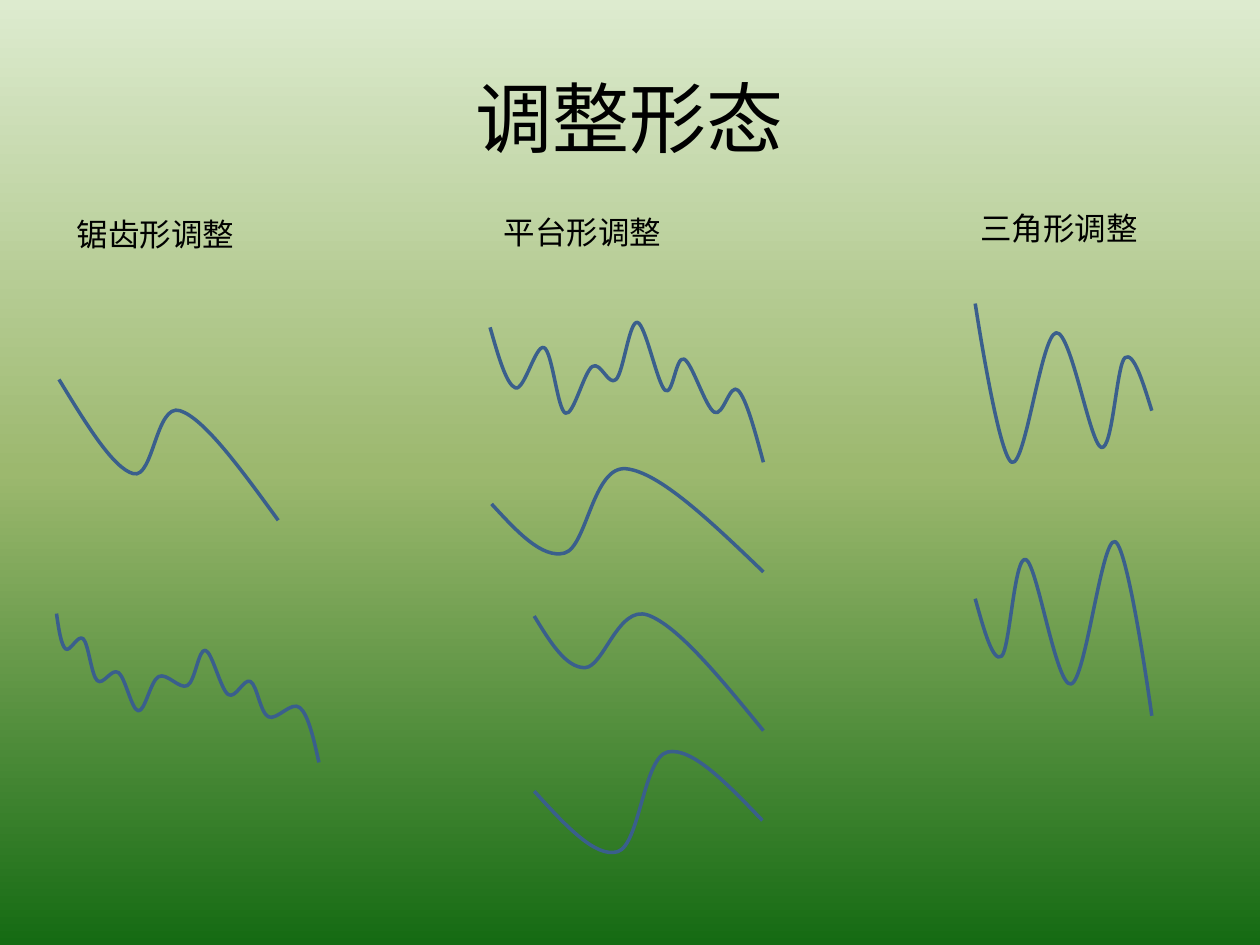
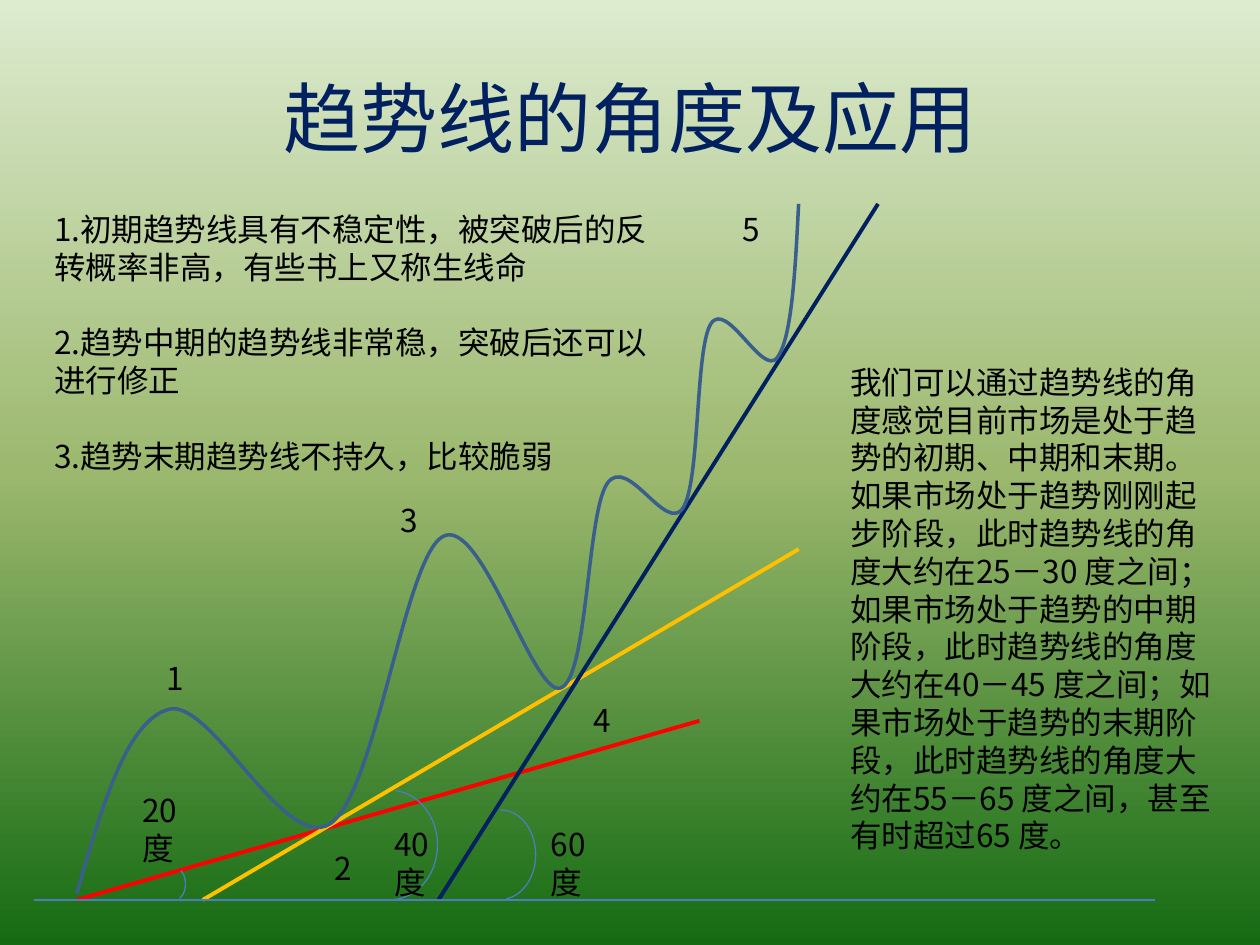
"""Build two slides on market correction shapes and trend line angles."""
from copy import deepcopy
from dataclasses import dataclass

from lxml import etree
from pptx import Presentation
from pptx import util as u
from pptx.dml.color import RGBColor
from pptx.enum import shapes, text
from pptx.oxml.ns import qn

BLACK = RGBColor(0x00, 0x00, 0x00)
NAVY = RGBColor(0x00, 0x20, 0x60)
RED = RGBColor(0xFF, 0x00, 0x00)
AMBER = RGBColor(0xFF, 0xC0, 0x00)
CURVE_BLUE = RGBColor(0x3A, 0x5F, 0x8C)
THIN_BLUE = RGBColor(0x4B, 0x7E, 0xBC)
BACKGROUND = (
    (0, RGBColor(0xDD, 0xEB, 0xCF)),
    (0.5, RGBColor(0x9C, 0xB8, 0x6E)),
    (1, RGBColor(0x15, 0x6B, 0x13)),
)
LATIN_FONT = "Calibri"
CJK_FONT = "Noto Sans CJK SC"
BODY_SIZE = 18
LINE_GAP = u.Pt(21.6)
LABEL_HEIGHT = 1.02
BASE_Y = 18.14


@dataclass
class Label:
    """A text box in centimetres, one string per paragraph."""

    lines: tuple[str, ...]
    left: float
    top: float
    width: float
    height: float = LABEL_HEIGHT
    wrap: bool = False
    font: str = CJK_FONT


@dataclass
class Curve:
    """A smooth curve through knots; a clamped one has no end tangent."""

    knots: tuple[tuple[float, float], ...]
    clamped: bool = False


@dataclass
class Line:
    """A straight line between two points in centimetres."""

    start: tuple[float, float]
    end: tuple[float, float]
    color: RGBColor
    weight: float = 2.25


@dataclass
class AngleArc:
    """An arc that marks an angle, with its start and end adjustments."""

    left: float
    top: float
    width: float
    height: float
    start: float
    end: float


CORRECTION_LABELS = [
    Label((name,), left, top, 3.71, font=LATIN_FONT)
    for name, left, top in (
        ("锯齿形调整", 1.3, 4.22),
        ("平台形调整", 9.91, 4.17),
        ("三角形调整", 19.51, 4.09),
    )
]
CORRECTION_CURVES = [
    Curve(((1.14, 12.37), (1.32, 13.08), (1.68, 12.88), (1.96, 13.72), (2.39, 13.56),
           (2.79, 14.33), (3.2, 13.64), (3.78, 13.82), (4.14, 13.11), (4.6, 14),
           (5.05, 13.74), (5.41, 14.45), (6.05, 14.27), (6.43, 15.37))),
    Curve(((9.88, 6.6), (10.39, 7.82), (10.97, 7.01), (11.4, 8.33), (11.94, 7.39),
           (12.42, 7.65), (12.85, 6.5), (13.41, 7.87), (13.79, 7.24), (14.4, 8.31),
           (14.88, 7.87), (15.39, 9.32))),
    Curve(((19.66, 12.07), (20.19, 13.23), (20.68, 11.28), (21.59, 13.79),
           (22.48, 10.92), (23.22, 14.43)), clamped=True),
    Curve(((23.22, 8.28), (22.68, 7.21), (22.2, 9.02), (21.29, 6.71),
           (20.4, 9.32), (19.66, 6.12)), clamped=True),
    Curve(((9.91, 10.16), (11.38, 11.15), (12.62, 9.45), (15.39, 11.53))),
    Curve(((10.77, 12.42), (11.79, 13.46), (13.06, 12.4), (15.39, 14.73))),
    Curve(((10.77, 15.95), (12.45, 17.17), (13.46, 15.16), (15.37, 16.54))),
    Curve(((1.19, 7.65), (2.69, 9.55), (3.63, 8.28), (5.61, 10.49))),
]

TREND_LINES = [
    Line((1.55, BASE_Y), (14.1, 14.53), RED),
    Line((4.09, BASE_Y), (16.1, 11.07), AMBER),
    Line((8.84, BASE_Y), (17.7, 4.11), NAVY),
    Line((0.69, BASE_Y), (23.29, BASE_Y), THIN_BLUE, 0.75),
]
ANGLE_ARCS = [
    AngleArc(3.33, 17.5, 0.41, 0.64, 175.79, 44.07),
    AngleArc(6.91, 15.93, 1.91, 2.21, 165.38, 51.82),
    AngleArc(9.4, 16.33, 1.4, 1.8, 161.67, 49.74),
]
WAVE_POINTS = ((3.1, 13.16), (6.5, 16.99), (7.82, 9.98), (11.71, 14), (14.71, 4.11))
WAVE_LABELS = [
    Label((str(number),), left, top, 0.84)
    for number, (left, top) in enumerate(WAVE_POINTS, 1)
]
ANGLE_LABELS = [
    Label((f"{degrees}度",), left, top, 1.8, wrap=True)
    for degrees, left, top in ((20, 2.62, 15.82), (40, 7.7, 16.51), (60, 10.85, 16.51))
]
PRICE_CURVE = Curve(
    ((1.55, 18.01), (3.4, 14.3), (6.65, 16.61), (8.92, 10.82), (11.3, 13.87),
     (12.24, 9.75), (13.77, 10.24), (14.33, 6.53), (15.67, 7.21), (16.1, 4.11)))
TREND_NOTES = [
    Label((
        "我们可以通过趋势线的角度感觉目前市场是处于趋势的初期、中期和末期。"
        "如果市场处于趋势刚刚起步阶段，此时趋势线的角度大约在25－30 度之间；"
        "如果市场处于趋势的中期阶段，此时趋势线的角度大约在40－45 度之间；"
        "如果市场处于趋势的末期阶段，此时趋势线的角度大约在55－65 度之间，"
        "甚至有时超过65 度。",
    ), 16.89, 7.19, 7.8, 10.26, wrap=True),
    Label((
        "1.初期趋势线具有不稳定性，被突破后的反转概率非高，有些书上又称生线命",
        "2.趋势中期的趋势线非常稳，突破后还可以进行修正",
        "3.趋势末期趋势线不持久，比较脆弱",
    ), 0.84, 4.11, 12.85, 5.64, wrap=True),
]


def style_text(frame, size: float, color: RGBColor, font: str) -> None:
    """Format every run, with the CJK font for East Asian glyphs."""
    for para in frame.paragraphs:
        for span in para.runs:
            span.font.size = u.Pt(size)
            span.font.color.rgb = color
            span.font.name = font
            east_asian = etree.SubElement(span.font._element, qn("a:ea"))
            east_asian.set("typeface", CJK_FONT)


def paint_background(deck) -> None:
    """Give the slide master the vertical green gradient."""
    master = deck.slide_master
    fill = master.background.fill
    fill.gradient()
    fill.gradient_angle = 270
    stop_list = next(master._element.iter(qn("a:gsLst")))
    stop_list.append(deepcopy(stop_list[-1]))
    for stop, (position, color) in zip(fill.gradient_stops, BACKGROUND):
        stop.position = position
        stop.color.rgb = color


def add_page(deck, title: str, color: RGBColor, font: str):
    """Add a title-only slide and format its title."""
    page = deck.slides.add_slide(deck.slide_layouts[5])
    box = page.shapes.title
    box.left, box.top, box.width, box.height = map(u.Cm, (1.27, 0.76, 22.86, 3.18))
    box.text_frame.text = title
    box.text_frame.vertical_anchor = text.MSO_ANCHOR.MIDDLE
    box.text_frame.paragraphs[0].alignment = text.PP_ALIGN.CENTER
    style_text(box.text_frame, 44, color, font)
    return page


def add_label(page, label: Label) -> None:
    """Draw a text box whose paragraphs stand one line apart."""
    box = page.shapes.add_textbox(
        *map(u.Cm, (label.left, label.top, label.width, label.height)))
    frame = box.text_frame
    frame.text = "\n".join(label.lines)
    frame.word_wrap = label.wrap
    frame.auto_size = text.MSO_AUTO_SIZE.SHAPE_TO_FIT_TEXT
    for para in frame.paragraphs[1:]:
        para.space_before = LINE_GAP
    style_text(frame, BODY_SIZE, BLACK, label.font)


def midpoint(first: tuple, second: tuple) -> tuple:
    """Return the point halfway between two points."""
    return tuple((a + b) / 2 for a, b in zip(first, second))


def bezier_segments(points: list[tuple], clamped: bool) -> list[tuple]:
    """Return the two controls and the end of each smooth segment."""
    last = len(points) - 1

    def control(index: int, sign: int) -> tuple:
        """Shift a knot by a sixth of the span between its neighbours."""
        before, knot, after = points[index - 1:index + 2]
        return tuple(k + sign * (a - b) / 6 for b, k, a in zip(before, knot, after))

    segments = []
    for index in range(last):
        leaving = control(index, 1) if index else None
        if index + 1 < last:
            arriving = control(index + 1, -1)
        else:
            arriving = points[last] if clamped else midpoint(points[last], leaving)
        leaving = leaving or midpoint(points[0], arriving)
        segments.append((leaving, arriving, points[index + 1]))
    return segments


def add_curve(page, curve: Curve) -> None:
    """Draw a freeform and bend its straight segments into a smooth curve."""
    points = [(u.Cm(x), u.Cm(y)) for x, y in curve.knots]
    builder = page.shapes.build_freeform(*points[0], scale=1.0)
    builder.add_line_segments(points[1:], close=False)
    shape = builder.convert_to_shape()
    straight = list(shape._element.iter(qn("a:lnTo")))
    for segment, bezier in zip(straight, bezier_segments(points, curve.clamped)):
        bend = etree.Element(qn("a:cubicBezTo"))
        for x, y in bezier:
            point = etree.SubElement(bend, qn("a:pt"))
            point.set("x", str(round(x - shape.left)))
            point.set("y", str(round(y - shape.top)))
        segment.getparent().replace(segment, bend)
    style_outline(shape, CURVE_BLUE, 2)


def style_outline(shape, color: RGBColor, weight: float) -> None:
    """Leave a shape unfilled, without shadow, with a plain outline."""
    shape.fill.background()
    shape.line.color.rgb = color
    shape.line.width = u.Pt(weight)
    shape.shadow.inherit = False


def add_line(page, line: Line) -> None:
    """Draw a straight connector without shadow."""
    connector = page.shapes.add_connector(
        shapes.MSO_CONNECTOR.STRAIGHT, *map(u.Cm, line.start + line.end))
    connector.line.color.rgb = line.color
    connector.line.width = u.Pt(line.weight)
    etree.SubElement(connector._element.spPr, qn("a:effectLst"))


def add_arc(page, arc: AngleArc) -> None:
    """Draw the arc of an angle."""
    shape = page.shapes.add_shape(
        shapes.MSO_SHAPE.ARC, *map(u.Cm, (arc.left, arc.top, arc.width, arc.height)))
    shape.adjustments[0] = arc.start
    shape.adjustments[1] = arc.end
    style_outline(shape, THIN_BLUE, 0.75)


def build_corrections(deck) -> None:
    """Build the slide of correction shapes."""
    page = add_page(deck, "调整形态", BLACK, LATIN_FONT)
    for label in CORRECTION_LABELS:
        add_label(page, label)
    for curve in CORRECTION_CURVES:
        add_curve(page, curve)


def build_trend_angles(deck) -> None:
    """Build the slide of trend line angles."""
    page = add_page(deck, "趋势线的角度及应用", NAVY, CJK_FONT)
    for line in TREND_LINES:
        add_line(page, line)
    for arc in ANGLE_ARCS:
        add_arc(page, arc)
    for label in WAVE_LABELS + ANGLE_LABELS:
        add_label(page, label)
    add_curve(page, PRICE_CURVE)
    for note in TREND_NOTES:
        add_label(page, note)


def main() -> None:
    """Build and save the deck."""
    deck = Presentation()
    deck.slide_width, deck.slide_height = u.Cm(25.4), u.Cm(19.05)
    paint_background(deck)
    build_corrections(deck)
    build_trend_angles(deck)
    deck.save("out.pptx")


if __name__ == "__main__":
    main()
